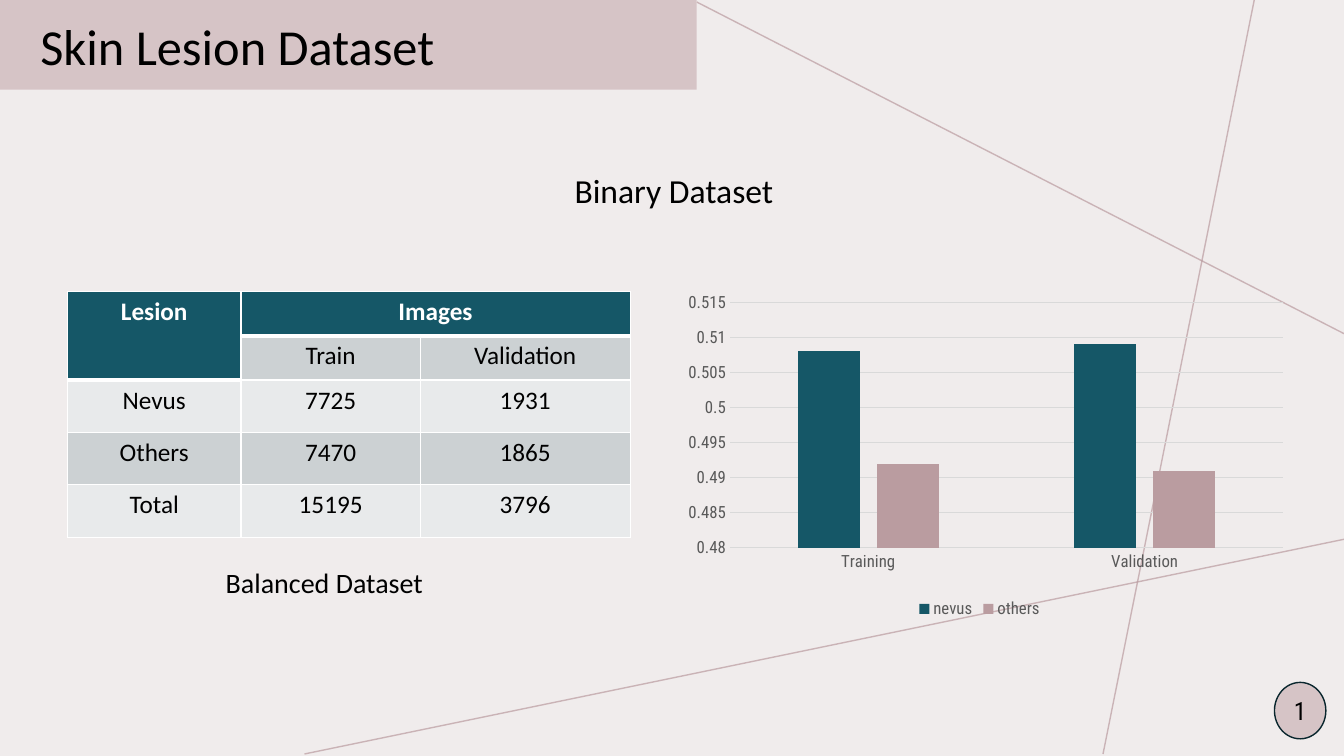
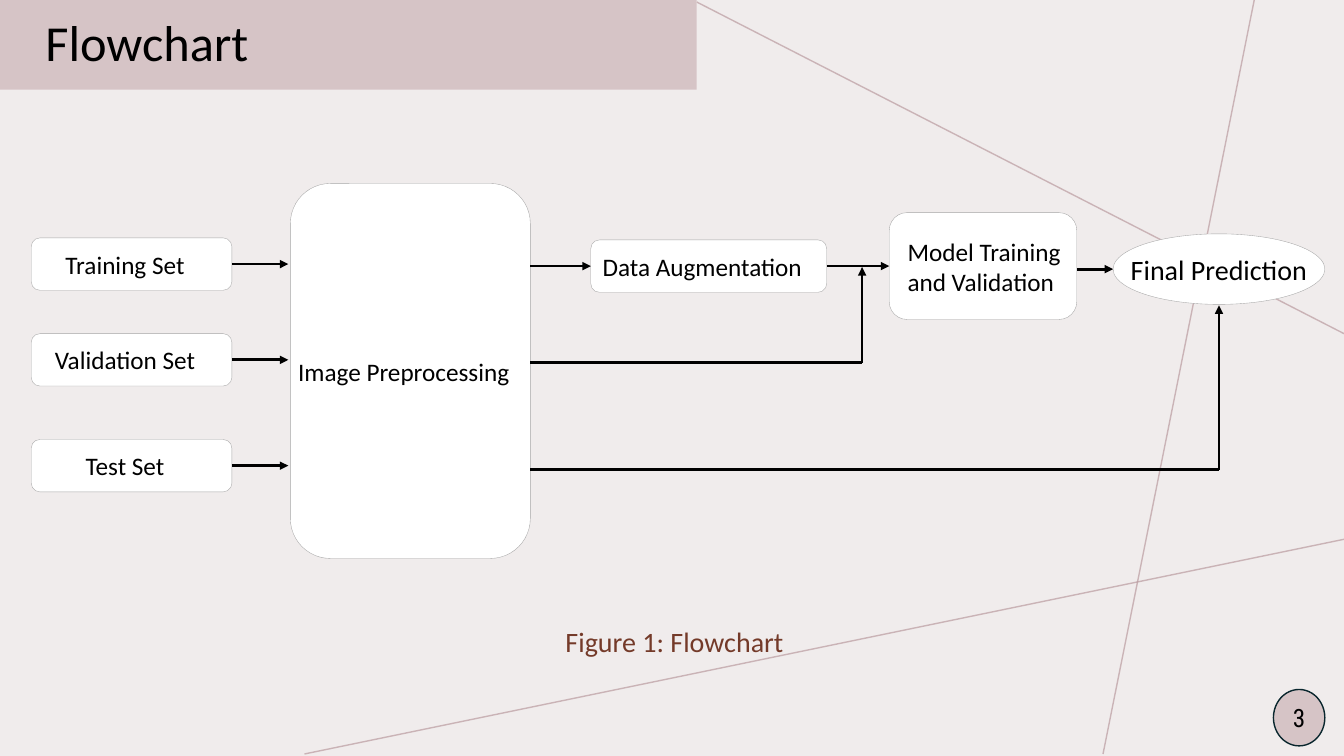
import lxml.etree
import pptx
import pptx.chart.data
import pptx.dml.color
import pptx.enum.chart
import pptx.enum.shapes
import pptx.enum.text
import pptx.oxml.ns
import pptx.util

Inches = pptx.util.Inches
Pt = pptx.util.Pt
RGBColor = pptx.dml.color.RGBColor
qn = pptx.oxml.ns.qn
Shapes = pptx.enum.shapes.MSO_SHAPE
Align = pptx.enum.text.PP_ALIGN
Anchor = pptx.enum.text.MSO_ANCHOR

# Colours
BLACK = RGBColor(0x00, 0x00, 0x00)
WHITE = RGBColor(0xFF, 0xFF, 0xFF)
PAPER = RGBColor(0xF0, 0xEC, 0xEC)
BAND = RGBColor(0xD6, 0xC4, 0xC6)
ROSE = RGBColor(0xBA, 0x9C, 0xA0)
TEAL = RGBColor(0x15, 0x57, 0x67)
NAVY = RGBColor(0x09, 0x26, 0x2D)
BROWN = RGBColor(0x74, 0x3A, 0x29)
GREY = RGBColor(0x59, 0x59, 0x59)
GRID = RGBColor(0xD9, 0xD9, 0xD9)
OUTLINE = RGBColor(0xA6, 0xA6, 0xA6)
ROW_DARK = RGBColor(0xCC, 0xD1, 0xD3)
ROW_LIGHT = RGBColor(0xE8, 0xEA, 0xEB)

# Fonts
FONT = "Calibri"
NARROW_FONT = "Roboto Condensed"

# Decorative lines: start x, start y, end x, end y
DECORATION = [
    (6.91, 0.02, 13.33, 3.31),
    (13.33, 5.35, 3.02, 7.48),
    (10.94, 7.48, 12.44, 0),
]


class Deck:
    """Holds the style and the current slide."""

    def __init__(self):
        self.presentation = pptx.Presentation()
        self.presentation.slide_width = Inches(13.33)
        self.presentation.slide_height = Inches(7.5)
        self.slide = None

    def start_slide(self, title, title_left, title_top, number, number_left, number_top):
        self.slide = self.presentation.slides.add_slide(self.presentation.slide_layouts[5])
        background = self.slide.background.fill
        background.solid()
        background.fore_color.rgb = PAPER
        for x1, y1, x2, y2 in DECORATION:
            self.line(x1, y1, x2, y2, ROSE, 1, opacity=70)
        self.shape(Shapes.RECTANGLE, 0, 0, 6.91, 0.89, BAND)
        # Title placeholder, raised above the band
        placeholder = self.slide.shapes.title
        self.slide.shapes._spTree.append(placeholder._element)
        placeholder.left, placeholder.top = Inches(title_left), Inches(title_top)
        placeholder.width, placeholder.height = Inches(6.04), Inches(0.71)
        self.set_text(placeholder.text_frame, title, 36)
        # Slide number badge
        badge = self.shape(Shapes.OVAL, number_left, number_top, 0.51, 0.56, BAND, NAVY, 1)
        self.set_text(badge.text_frame, number, 18, align=Align.CENTER, font=NARROW_FONT,
                      wrap=False)

    def style(self, font, size, color, name=FONT, bold=False):
        font.name, font.size, font.bold = name, Pt(size), bold
        font.color.rgb = color

    def set_text(self, frame, text, size, color=BLACK, align=Align.LEFT, font=FONT, bold=False,
                 wrap=True):
        frame.text = text
        frame.word_wrap = wrap
        frame.vertical_anchor = Anchor.MIDDLE
        self.style_paragraphs(frame, size, color, align, font, bold)

    def style_paragraphs(self, frame, size, color, align, font=FONT, bold=False):
        for paragraph in frame.paragraphs:
            paragraph.alignment = align
            for run in paragraph.runs:
                self.style(run.font, size, color, font, bold)

    def shape(self, kind, left, top, width, height, fill, outline=None, weight=0.25):
        shape = self.slide.shapes.add_shape(
            kind, Inches(left), Inches(top), Inches(width), Inches(height))
        shape.shadow.inherit = False
        shape.fill.solid()
        shape.fill.fore_color.rgb = fill
        if outline is None:
            shape.line.fill.background()
        else:
            shape.line.color.rgb = outline
            shape.line.width = Pt(weight)
        return shape

    def node(self, text, left, top, width, height, kind=Shapes.ROUNDED_RECTANGLE, size=18,
             margins=(0, 0.13), align=Align.CENTER, wrap=False):
        shape = self.shape(kind, left, top, width, height, WHITE, OUTLINE)
        frame = shape.text_frame
        frame.margin_left, frame.margin_right = [Inches(margin) for margin in margins]
        self.set_text(frame, text, size, align=align, wrap=wrap)
        return shape

    def label(self, text, left, top, width, height, size, color=BLACK):
        box = self.slide.shapes.add_textbox(
            Inches(left), Inches(top), Inches(width), Inches(height))
        self.set_text(box.text_frame, text, size, color)

    def line(self, x1, y1, x2, y2, color=BLACK, weight=2, arrow=False, opacity=None,
             begin=None, end=None):
        """Draw a line; begin joins a shape's right side, end joins a left side."""
        connector = self.slide.shapes.add_connector(
            pptx.enum.shapes.MSO_CONNECTOR.STRAIGHT,
            Inches(x1), Inches(y1), Inches(x2), Inches(y2))
        connector.line.color.rgb = color
        connector.line.width = Pt(weight)
        properties = connector._element.spPr
        outline = properties.find(qn("a:ln"))
        if opacity:
            alpha = lxml.etree.SubElement(outline.find(".//" + qn("a:srgbClr")), qn("a:alpha"))
            alpha.set("val", str(opacity * 1000))
        if arrow:
            lxml.etree.SubElement(outline, qn("a:tailEnd")).set("type", "triangle")
        lxml.etree.SubElement(properties, qn("a:effectLst"))
        if begin is not None:
            connector.begin_connect(begin, 3)
        if end is not None:
            connector.end_connect(end, 1)

    def border(self, cell, bottom_weight):
        properties = cell._tc.get_or_add_tcPr()
        for side, weight in (("L", 1), ("R", 1), ("T", 1), ("B", bottom_weight)):
            edge = lxml.etree.SubElement(properties, qn("a:ln" + side), w=str(Pt(weight)))
            fill = lxml.etree.SubElement(edge, qn("a:solidFill"))
            lxml.etree.SubElement(fill, qn("a:srgbClr"), val=str(WHITE))

    def table(self, rows, left, top, widths, heights, merges, header_cells):
        table = self.slide.shapes.add_table(
            len(rows), len(widths), Inches(left), Inches(top),
            Inches(sum(widths)), Inches(sum(heights))).table
        for column, width in zip(table.columns, widths):
            column.width = Inches(width)
        for row, height in zip(table.rows, heights):
            row.height = Inches(height)
        for first, last in merges:
            table.cell(*first).merge(table.cell(*last))
        for i, row in enumerate(rows):
            for j, text in enumerate(row):
                cell = table.cell(i, j)
                header = (i, j) in header_cells
                self.border(cell, 3 if header else 1)
                cell.fill.solid()
                cell.fill.fore_color.rgb = (
                    TEAL if header else ROW_DARK if i % 2 else ROW_LIGHT)
                if text:
                    cell.text_frame.text = text
                    self.style_paragraphs(cell.text_frame, 18, WHITE if header else BLACK,
                                          Align.CENTER, bold=header)

    def column_chart(self, categories, series, left, top, width, height, scale, plot_area):
        data = pptx.chart.data.CategoryChartData()
        data.categories = categories
        for name, values, _ in series:
            data.add_series(name, values)
        chart = self.slide.shapes.add_chart(
            pptx.enum.chart.XL_CHART_TYPE.COLUMN_CLUSTERED,
            Inches(left), Inches(top), Inches(width), Inches(height), data).chart
        chart.has_title = False
        self.style(chart.font, 12, GREY, NARROW_FONT)
        chart.has_legend = True
        chart.legend.position = pptx.enum.chart.XL_LEGEND_POSITION.BOTTOM
        chart.legend.include_in_layout = False
        # Bars
        plot = chart.plots[0]
        plot.vary_by_categories = False
        plot.gap_width, plot.overlap = 219, -27
        for bars, (_, _, color) in zip(plot.series, series):
            bars.format.fill.solid()
            bars.format.fill.fore_color.rgb = color
        # Axes
        for axis in (chart.category_axis, chart.value_axis):
            axis.major_tick_mark = pptx.enum.chart.XL_TICK_MARK.NONE
        value_axis = chart.value_axis
        value_axis.minimum_scale, value_axis.maximum_scale, value_axis.major_unit = scale
        value_axis.format.line.fill.background()
        for line in (chart.category_axis.format.line, value_axis.major_gridlines.format.line):
            line.color.rgb = GRID
            line.width = Pt(0.75)
        # Fixed inner plot area
        area = chart._chartSpace.chart.plotArea
        for layout in area.findall(qn("c:layout")):
            area.remove(layout)
        layout = lxml.etree.Element(qn("c:layout"))
        area.insert(0, layout)
        manual = lxml.etree.SubElement(layout, qn("c:manualLayout"))
        settings = [("layoutTarget", "inner"), ("xMode", "edge"), ("yMode", "edge")]
        for tag, value in settings + list(zip("xywh", plot_area)):
            lxml.etree.SubElement(manual, qn("c:" + tag), val=str(value))


def dataset_slide(deck):
    deck.start_slide("Skin Lesion Dataset", 0.3, 0.09, "1", 12.64, 6.77)
    deck.label("Binary Dataset", 5.6, 1.64, 3.37, 0.5, 24)
    deck.table(
        [["Lesion", "Images", ""],
         ["", "Train", "Validation"],
         ["Nevus", "7725", "1931"],
         ["Others", "7470", "1865"],
         ["Total", "15195", "3796"]],
        0.67, 2.89, [1.72, 1.78, 2.08], [0.44, 0.44, 0.52, 0.52, 0.52],
        merges=[((0, 0), (1, 0)), ((0, 1), (0, 2))],
        header_cells={(0, 0), (0, 1), (0, 2), (1, 0)})
    deck.column_chart(
        ["Training", "Validation"],
        [("nevus", (0.508, 0.509), TEAL), ("others", (0.492, 0.491), ROSE)],
        6.37, 2.05, 6.69, 4.13, scale=(0.48, 0.515, 0.005),
        plot_area=(0.13, 0.23, 0.82, 0.59))
    deck.label("Balanced Dataset", 2.14, 5.56, 2.55, 0.44, 20)


def flowchart_slide(deck):
    deck.start_slide("Flowchart", 0.35, 0.06, "3", 12.63, 6.84)
    deck.label("Figure 1: Flowchart", 5.51, 6.14, 2.65, 0.44, 20, BROWN)

    # Processing steps
    deck.node("Image Preprocessing", 2.88, 1.82, 2.38, 3.72)
    augmentation = deck.node("Data Augmentation", 5.86, 2.38, 2.34, 0.52)
    model = deck.node("Model Training and Validation", 8.82, 2.11, 1.86, 1.06,
                      margins=(0.13, 0), align=Align.LEFT, wrap=True)
    deck.node("Final Prediction", 11.04, 2.32, 2.1, 0.7, Shapes.OVAL, 20, margins=(0, 0))

    # Data sets feeding the preprocessing
    for name, top in (("Training Set", 2.36), ("Validation Set", 3.31), ("Test Set", 4.36)):
        data_set = deck.node(name, 0.31, top, 1.99, 0.52)
        middle = top + 0.26
        deck.line(2.3, middle, 2.86, middle, arrow=True, begin=data_set)

    # Training path
    deck.line(5.26, 2.64, 5.86, 2.64, arrow=True, end=augmentation)
    deck.line(8.2, 2.64, 8.82, 2.64, arrow=True, begin=augmentation, end=model)
    deck.line(10.68, 2.67, 11.04, 2.67, arrow=True)

    # Validation and test paths: along, then up
    for y, turn, tip in ((3.6, 8.55, 2.65), (4.66, 12.09, 3.03)):
        deck.line(5.26, y, turn, y)
        deck.line(turn, y, turn, tip, arrow=True)


def main():
    deck = Deck()
    dataset_slide(deck)
    flowchart_slide(deck)
    deck.presentation.save("out.pptx")


if __name__ == "__main__":
    main()
